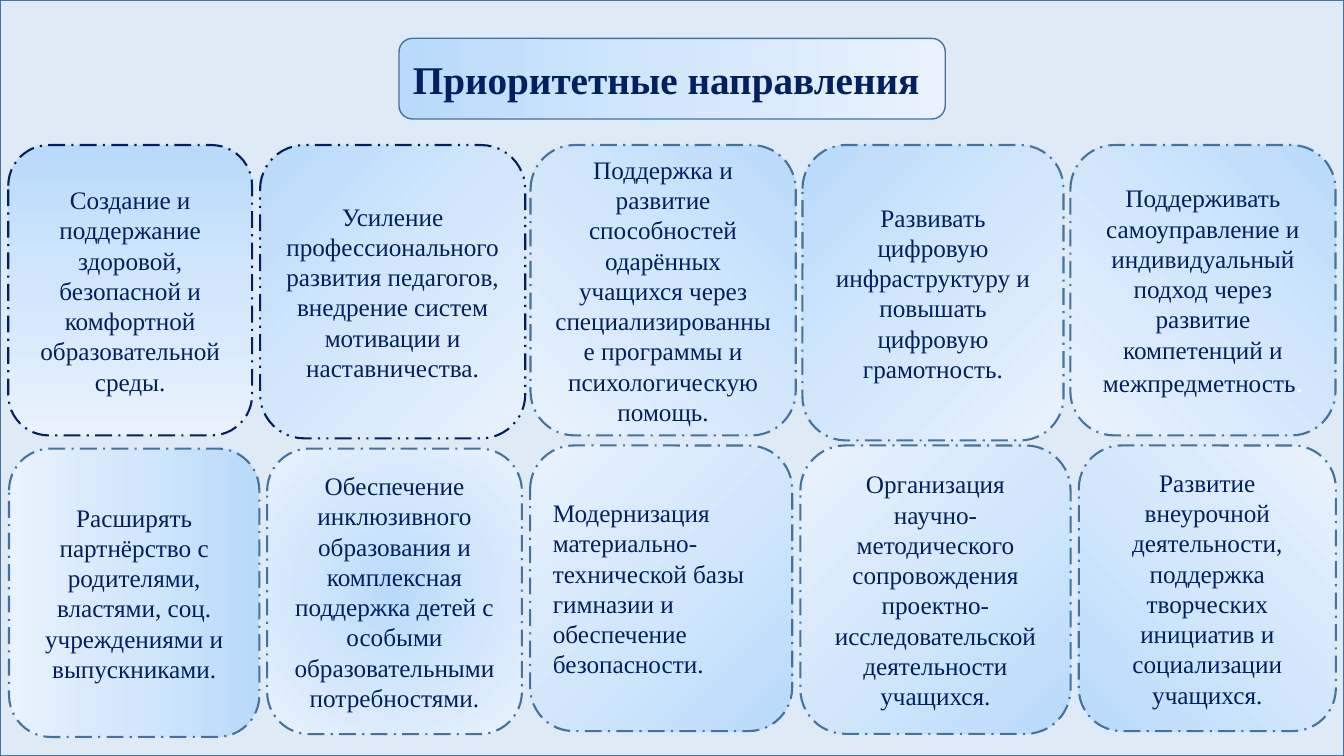
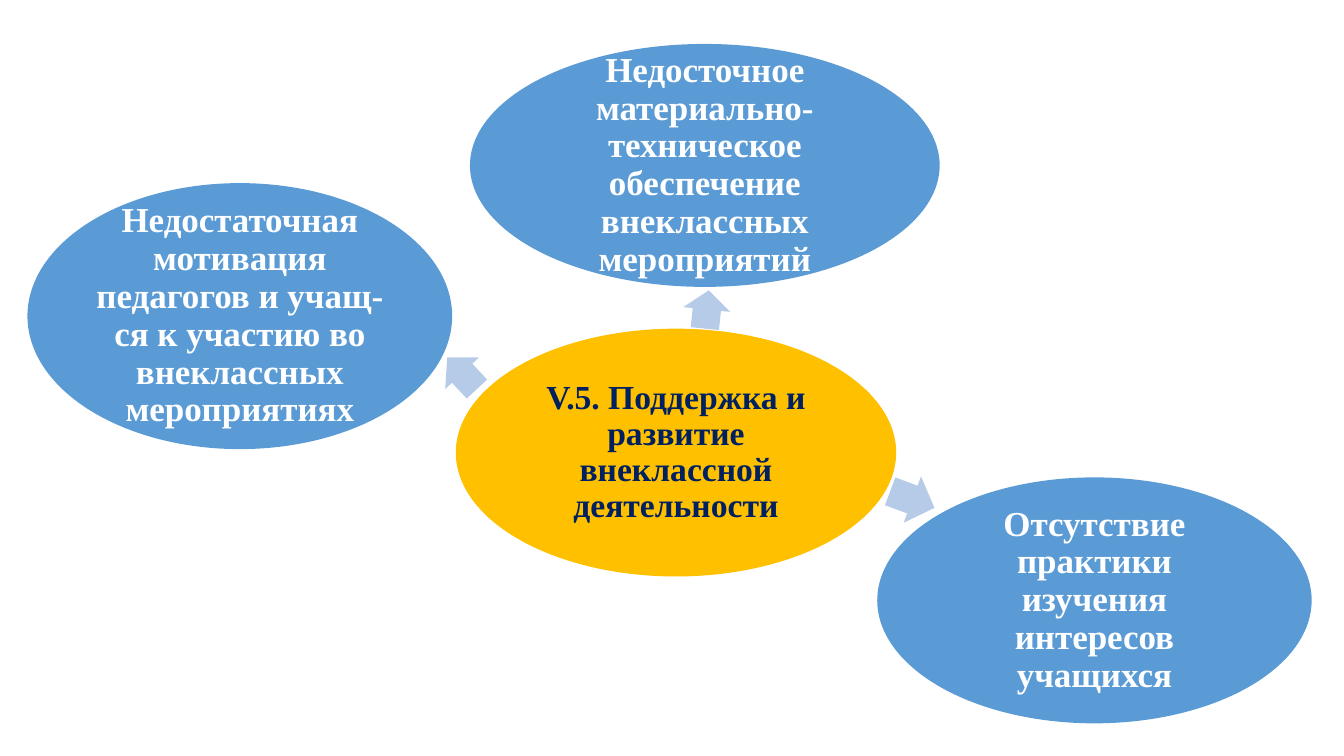
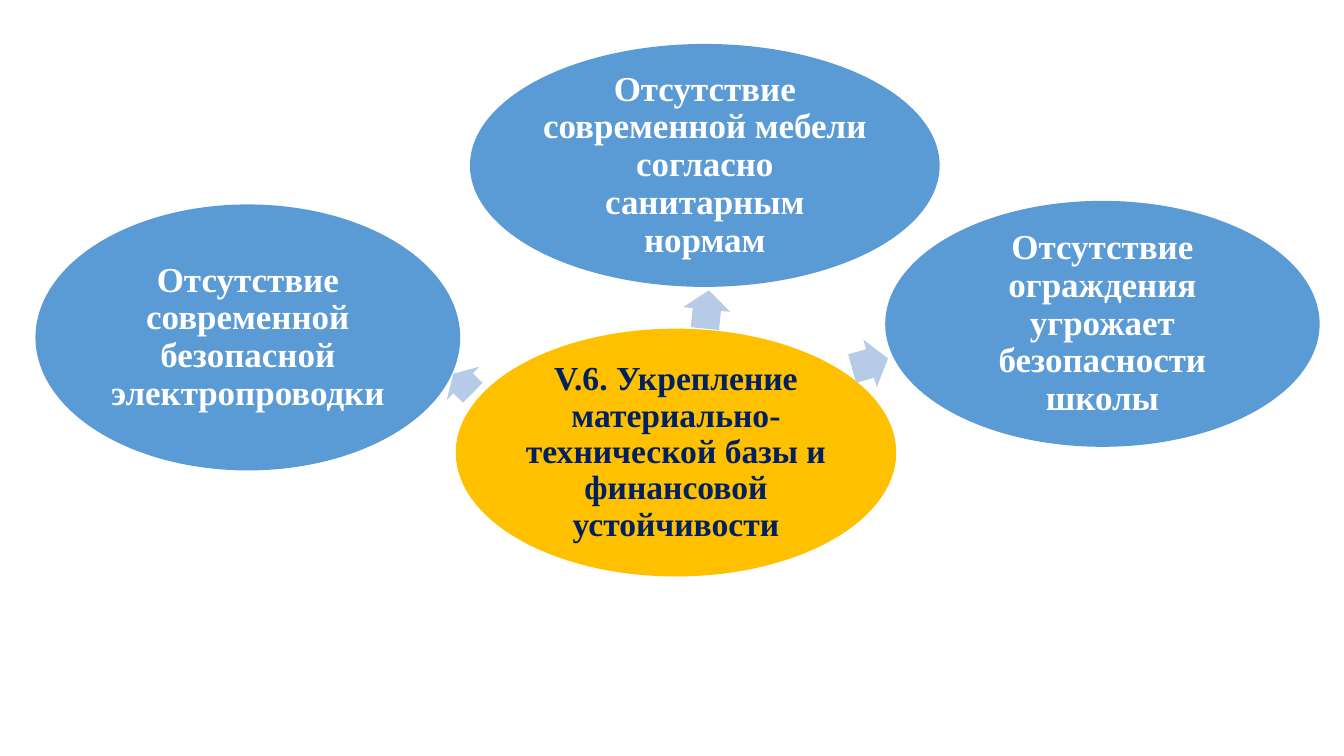
from pptx import Presentation
from pptx.dml.color import RGBColor
from pptx.enum import dml, shapes, text
from pptx.oxml import parse_xml
from pptx.oxml.ns import nsdecls
from pptx.util import Pt

NAVY = RGBColor(0x00, 0x20, 0x60)
WHITE = RGBColor(0xFF, 0xFF, 0xFF)
STEEL = RGBColor(0x43, 0x73, 0x9E)
PALE = RGBColor(0xDE, 0xEB, 0xF7)
GOLD = RGBColor(0xFF, 0xC0, 0x00)
BLUE = RGBColor(0x5B, 0x9B, 0xD5)
ARROW = RGBColor(0xB5, 0xCB, 0xE7)
SKY_STOPS = ((0, RGBColor(0xB9, 0xDA, 0xFB)),
             (50, RGBColor(0xD3, 0xE7, 0xFC)),
             (100, RGBColor(0xE9, 0xF2, 0xFD)))
FONT = "Times New Roman"
PAGE = (0, 0, 960, 540)
CENTER, LEFT = text.PP_ALIGN.CENTER, text.PP_ALIGN.LEFT
DOT = dml.MSO_LINE.LONG_DASH_DOT
DOT_DOT = dml.MSO_LINE.DASH_DOT_DOT


def add_part(slide, kind, box, fill=None, line=None, width=1, dash=None):
    part = slide.shapes.add_shape(kind, *(Pt(v) for v in box))
    part.shadow.inherit = False
    if fill is not None:
        part.fill.solid()
        part.fill.fore_color.rgb = fill
    if line is None:
        part.line.fill.background()
    else:
        part.line.color.rgb = line
        part.line.width = Pt(width)
        if dash is not None:
            part.line.dash_style = dash
    return part


def fill_sky(part, angle=None, focus=None):
    stops = "".join(f'<a:gs pos="{pos * 1000}"><a:srgbClr val="{color}"/></a:gs>'
                    for pos, color in SKY_STOPS)
    if focus is None:
        direction = f'<a:lin ang="{angle * 60000}" scaled="0"/>'
    else:
        x, y = focus
        direction = (f'<a:path path="circle"><a:fillToRect l="{x * 1000}" t="{y * 1000}" '
                     f'r="{(100 - x) * 1000}" b="{(100 - y) * 1000}"/></a:path>')
    gradient = parse_xml(f'<a:gradFill {nsdecls("a")} rotWithShape="1">'
                         f'<a:gsLst>{stops}</a:gsLst>{direction}</a:gradFill>')
    part._element.spPr.prstGeom.addnext(gradient)


def style_run(run, size, color, bold=False, font=FONT):
    run.font.name = font
    run.font.size = Pt(size)
    run.font.bold = bold
    run.font.color.rgb = color


def write(part, words, size, color, bold=False, align=CENTER):
    frame = part.text_frame
    frame.word_wrap = True
    frame.vertical_anchor = text.MSO_ANCHOR.MIDDLE
    frame.text = words
    paragraph = frame.paragraphs[0]
    paragraph.alignment = align
    style_run(paragraph.runs[0], size, color, bold)
    return paragraph


def heading(slide, box, words):
    part = add_part(slide, shapes.MSO_SHAPE.ROUNDED_RECTANGLE, box, line=STEEL)
    fill_sky(part, angle=0)
    write(part, words, 28, NAVY, bold=True, align=LEFT)


def card_row(slide, box, cards):
    left, top = box[:2]
    for x, y, width, height, words, style in cards:
        part = add_part(slide, shapes.MSO_SHAPE.ROUNDED_RECTANGLE,
                        (left + x, top + y, width, height),
                        line=style.get("line", STEEL), width=1.5,
                        dash=style.get("dash", DOT))
        fill_sky(part, style.get("angle"), style.get("focus"))
        paragraph = write(part, words, 18, NAVY, align=style.get("align", CENTER))
        if "ending" in style:
            ending = paragraph.add_run()
            ending.text = style["ending"]
            style_run(ending, 20, WHITE, font="Calibri")


def priorities(slide, box):
    left, top, width, height = box
    add_part(slide, shapes.MSO_SHAPE.RECTANGLE, box, PALE, STEEL)
    heading(slide, (left + 285, top + 27.4, 390.2, 57.6), "Приоритетные направления")
    card_row(slide, (left, top + 103.6, width, 211), UPPER_CARDS)
    card_row(slide, (left, top + 318.2, width, 208), LOWER_CARDS)


def bubble(slide, box, words, fill, color, size):
    part = add_part(slide, shapes.MSO_SHAPE.OVAL, box, fill)
    frame = part.text_frame
    frame.margin_left = frame.margin_right = Pt(2.2)
    frame.margin_top = frame.margin_bottom = Pt(2.2)
    write(part, words, size, color, bold=True).line_spacing = 0.9


def arrow(slide, box, rotation):
    part = add_part(slide, shapes.MSO_SHAPE.RIGHT_ARROW, box, ARROW)
    part.adjustments[0] = 0.6
    part.adjustments[1] = 0.5
    part.rotation = rotation


def problem_map(slide, box, topic, causes):
    left, top = box[:2]

    def place(x, y, width, height):
        return left + x, top + y, width, height

    bubble(slide, place(325.6, 234.8, 314.6, 177), topic, GOLD, NAVY, 24)
    for words, oval, pointer, rotation in causes:
        arrow(slide, place(*pointer), rotation)
        bubble(slide, place(*oval), words, BLUE, WHITE, 25)


UPPER_CARDS = (
    (5.9, 0, 174.2, 207.4,
     "Создание и поддержание здоровой, безопасной и комфортной образовательной среды.",
     {"angle": 90, "line": NAVY}),
    (185.8, 0, 189.4, 209.5,
     "Усиление профессионального развития педагогов, внедрение систем мотивации "
     "и наставничества.", {"angle": 45, "line": NAVY, "dash": DOT_DOT}),
    (379, 0, 189.4, 207.4,
     "Поддержка и развитие способностей одарённых учащихся через "
     "специализированные программы и психологическую помощь.", {"angle": 135}),
    (573.2, 0, 186.5, 211,
     "Развивать цифровую инфраструктуру и повышать цифровую грамотность.",
     {"angle": 45}),
    (764.6, 0, 189.4, 207.4,
     "Поддерживать самоуправление и индивидуальный подход через развитие "
     "компетенций и межпредметность", {"angle": 135, "ending": "."}),
)
LOWER_CARDS = (
    (6.5, 2.2, 178.8, 206,
     "Расширять партнёрство с родителями, властями, соц. учреждениями и выпускниками.",
     {"angle": 180}),
    (190.8, 2.2, 182, 204,
     "Обеспечение инклюзивного образования и комплексная поддержка детей с "
     "особыми образовательными потребностями.", {"focus": (50, 50)}),
    (378.7, 0, 187.2, 204,
     "Модернизация материально-технической базы гимназии и обеспечение безопасности.",
     {"focus": (100, 100), "align": LEFT}),
    (571.7, 0, 193, 206,
     "Организация научно-методического сопровождения проектно-исследовательской "
     "деятельности учащихся.", {"focus": (100, 100)}),
    (770.6, 0, 183.6, 204,
     "Развитие внеурочной деятельности, поддержка творческих инициатив и "
     "социализации учащихся.", {"focus": (0, 100)}),
)
TOP_OVAL = (335.7, 31.4, 335.5, 173.5)
TOP_POINTER = (491.2, 204.2, 27.4, 33.8)
TOP_ROTATION = 275.8
PROBLEM_MAPS = (
    ("V.5. Поддержка и развитие внеклассной деятельности", (
        ("Недосточное материально-техническое обеспечение внеклассных мероприятий",
         TOP_OVAL, TOP_POINTER, TOP_ROTATION),
        ("Отсутствие практики изучения интересов учащихся",
         (626.6, 341, 310.3, 175.7), (634.8, 339.2, 33.8, 35.3), 20.5),
        ("Недостаточная мотивация педагогов и учащ-ся к участию во внеклассных "
         "мероприятиях", (19.6, 130.8, 303.4, 190), (314.6, 250, 31, 33.1), 226.9),
    )),
    ("V.6. Укрепление материально-технической базы и финансовой устойчивости", (
        ("Отсутствие современной мебели согласно санитарным нормам",
         TOP_OVAL, TOP_POINTER, TOP_ROTATION),
        ("Отсутствие ограждения угрожает безопасности школы",
         (632.3, 143.5, 310.3, 175.7), (608.2, 242, 26.6, 35.3), 344.3),
        ("Отсутствие современной безопасной электропроводки",
         (25.3, 146, 303.4, 190), (321.1, 257.2, 19.4, 33.1), 224.6),
    )),
)


def main():
    deck = Presentation()
    deck.slide_width, deck.slide_height = Pt(PAGE[2]), Pt(PAGE[3])
    blank = deck.slide_layouts[6]
    priorities(deck.slides.add_slide(blank), PAGE)
    for topic, causes in PROBLEM_MAPS:
        problem_map(deck.slides.add_slide(blank), PAGE, topic, causes)
    deck.save("out.pptx")


if __name__ == "__main__":
    main()
